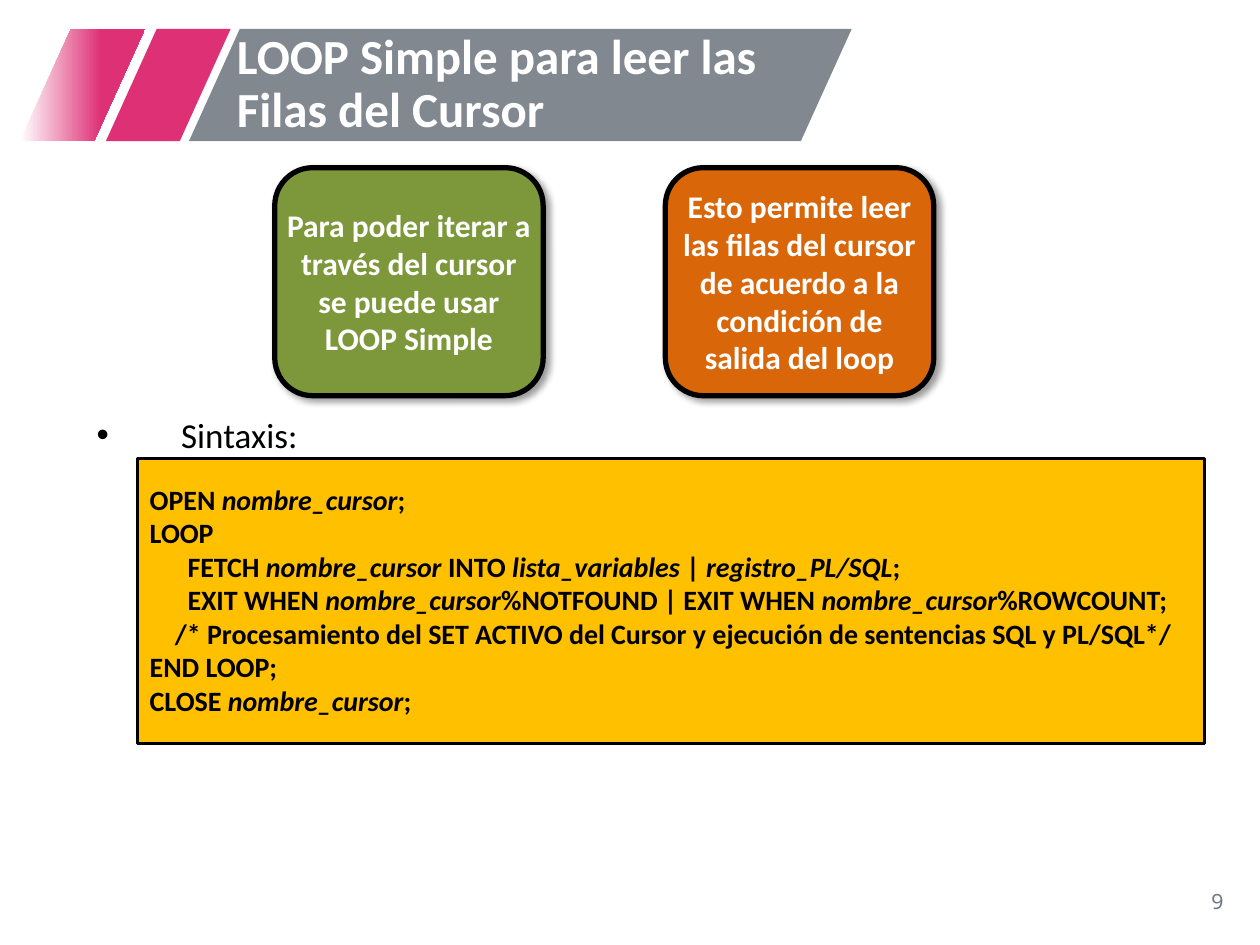
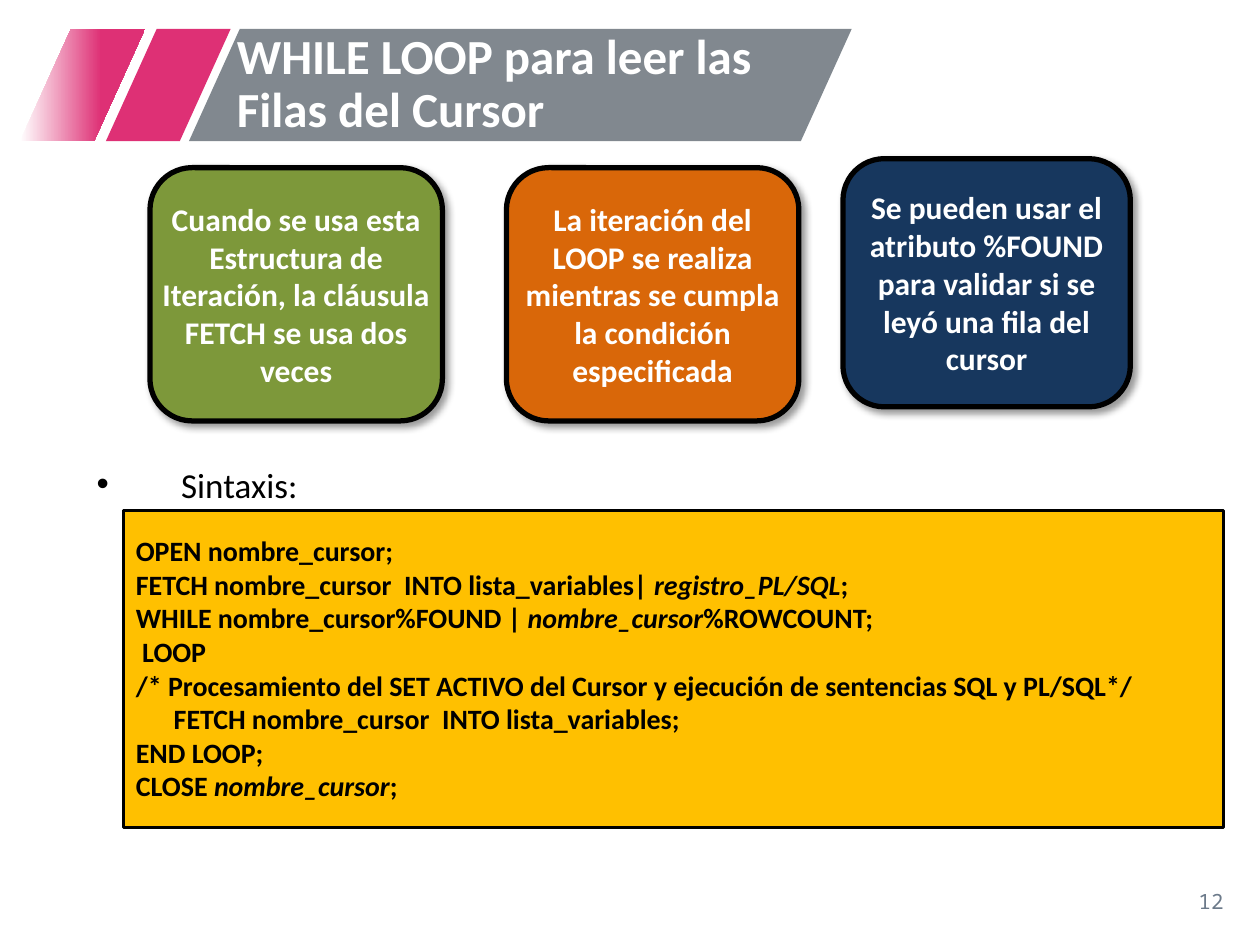
import dataclasses

import lxml.etree
import pptx
import pptx.dml.color
import pptx.enum.shapes
import pptx.enum.text
import pptx.oxml.ns
import pptx.util

Pt = pptx.util.Pt
Shape = pptx.enum.shapes.MSO_SHAPE
Align = pptx.enum.text.PP_ALIGN
Anchor = pptx.enum.text.MSO_ANCHOR
qn = pptx.oxml.ns.qn


@dataclasses.dataclass(frozen=True)
class Theme:
    # Colours
    white: str = "FFFFFF"
    black: str = "000000"
    pink: str = "DE3075"
    band: str = "81888F"
    page: str = "6C7A8A"
    green: str = "7D983A"
    orange: str = "D96709"
    navy: str = "17375E"
    amber: str = "FFC000"
    # Fonts and sizes
    face: str = "Calibri"
    mono: str = "Noto Sans Mono"
    head_size: int = 28
    card_size: int = 18
    bullet_size: int = 20
    code_size: int = 16
    page_size: int = 12


THEME = Theme()
BAND_TOP, BAND_HIGH = 16.56, 64.08


def color(code):
    return pptx.dml.color.RGBColor.from_string(code)


def place(box):
    return [Pt(n) for n in box]


def style(para, size, tint, bold=False, face=THEME.face):
    font = para.font
    font.name, font.size, font.bold = face, Pt(size), bold
    font.color.rgb = color(tint)


def frame_up(shape, anchor=Anchor.MIDDLE, sides=7.2, top=3.6, bottom=3.6):
    frame = shape.text_frame
    frame.word_wrap = True
    frame.vertical_anchor = anchor
    frame.margin_left = frame.margin_right = Pt(sides)
    frame.margin_top, frame.margin_bottom = Pt(top), Pt(bottom)
    return frame


def add_block(slide, kind, box, fill, line=0):
    """Flat shape; a line width of zero means no outline."""
    shape = slide.shapes.add_shape(kind, *place(box))
    shape.shadow.inherit = False
    shape.fill.solid()
    shape.fill.fore_color.rgb = color(fill)
    if line:
        shape.line.width = Pt(line)
        shape.line.color.rgb = color(THEME.black)
    else:
        shape.line.fill.background()
    return shape


def add_band(slide, left, width, fill):
    band = add_block(slide, Shape.PARALLELOGRAM,
                     (left, BAND_TOP, width, BAND_HIGH), fill)
    band.adjustments[0] = 0.453
    return band


def add_header(slide, text):
    add_band(slide, 60.5, 71.3, THEME.pink)
    fade = add_band(slide, 11.5, 71.3, THEME.pink).fill
    fade.gradient()
    fade.gradient_angle = 0
    ramp = ((0, THEME.white), (0.65, THEME.pink))
    for stop, (spot, tint) in zip(fade.gradient_stops, ramp):
        stop.position = spot
        stop.color.rgb = color(tint)
    add_band(slide, 108, 378.7, THEME.band)

    # Title goes in front of the bands
    title = slide.shapes.title
    title.element.getparent().append(title.element)
    title.left, title.top, title.width, title.height = place(
        (128.2, BAND_TOP, 347, BAND_HIGH))
    frame = frame_up(title)
    frame.auto_size = pptx.enum.text.MSO_AUTO_SIZE.NONE
    frame.text = text
    para = frame.paragraphs[0]
    para.alignment = Align.LEFT
    para.line_spacing = 0.9
    style(para, THEME.head_size, THEME.white, bold=True)


def add_page(slide, number):
    label = slide.shapes.add_textbox(*place((544.3, 500.4, 162, 28.8)))
    frame = frame_up(label)
    frame.text = str(number)
    para = frame.paragraphs[0]
    para.alignment = Align.RIGHT
    style(para, THEME.page_size, THEME.page, face=THEME.mono)


def add_shadow(shape):
    effects = shape.element.spPr.find(qn("a:effectLst"))
    outer = lxml.etree.SubElement(
        effects, qn("a:outerShdw"), blurRad=str(Pt(4)), dist=str(Pt(3)),
        dir="2700000", algn="tl", rotWithShape="0")
    tint = lxml.etree.SubElement(outer, qn("a:srgbClr"), val=THEME.black)
    lxml.etree.SubElement(tint, qn("a:alpha"), val="40000")


def add_card(slide, box, fill, text):
    card = add_block(slide, Shape.ROUNDED_RECTANGLE, box, fill, line=3)
    add_shadow(card)
    frame = frame_up(card, sides=0, top=0, bottom=0)
    frame.text = text
    para = frame.paragraphs[0]
    para.alignment = Align.CENTER
    style(para, THEME.card_size, THEME.white, bold=True)


def add_bullet(slide, top, text):
    label = slide.shapes.add_textbox(*place((48.2, top, 617.8, 32.4)))
    frame = frame_up(label, Anchor.TOP)
    frame.text = text
    para = frame.paragraphs[0]
    para.alignment = Align.JUSTIFY
    para.line_spacing = 0.8
    props = para._p.get_or_add_pPr()
    props.set("marL", str(Pt(48.2)))
    props.set("indent", str(-Pt(48.2)))
    lxml.etree.SubElement(props, qn("a:buFont"), typeface="Arial")
    lxml.etree.SubElement(props, qn("a:buChar"), char="•")
    style(para, THEME.bullet_size, THEME.black)


def add_code(slide, box, lines):
    """Code panel; text between ~ marks is italic."""
    panel = add_block(slide, Shape.RECTANGLE, box, THEME.amber, line=1.75)
    frame = frame_up(panel, Anchor.TOP, top=13.4)
    for row, line in enumerate(lines):
        para = frame.add_paragraph() if row else frame.paragraphs[0]
        para.alignment = Align.LEFT
        style(para, THEME.code_size, THEME.black, bold=True)
        for part, text in enumerate(line.split("~")):
            if text:
                run = para.add_run()
                run.text = text
                if part % 2:
                    run.font.italic = True


def add_slide(deck, title, page):
    slide = deck.slides.add_slide(deck.slide_layouts[5])
    add_header(slide, title)
    add_page(slide, page)
    return slide


def main():
    deck = pptx.Presentation()
    deck.slide_width, deck.slide_height = Pt(720), Pt(540)
    note = ("/* Procesamiento del SET ACTIVO del Cursor y ejecución "
            "de sentencias SQL y PL/SQL*/")
    close = ["END LOOP;", "CLOSE ~nombre_cursor~;"]

    # Simple loop
    slide = add_slide(deck, "LOOP Simple para leer las Filas del Cursor", 9)
    cards = (
        (THEME.green, "Para poder iterar a través del cursor se puede usar "
                      "LOOP Simple"),
        (THEME.orange, "Esto permite leer las filas del cursor de acuerdo a "
                       "la condición de salida del loop"),
    )
    for col, (fill, text) in enumerate(cards):
        add_card(slide, (157 + 223.2 * col, 95.8, 153.4, 130.3), fill, text)
    add_bullet(slide, 237.6, "Sintaxis:")
    add_code(slide, (78.5, 262.1, 609.8, 162.7), [
        "OPEN ~nombre_cursor~;",
        "LOOP",
        "      FETCH ~nombre_cursor~ INTO ~lista_variables~ | "
        "~registro_PL/SQL~;",
        "      EXIT WHEN ~nombre_cursor~%NOTFOUND | "
        "EXIT WHEN ~nombre_cursor~%ROWCOUNT;",
        "    " + note,
    ] + close)

    # While loop
    slide = add_slide(deck, "WHILE LOOP para leer las Filas del Cursor", 12)
    cards = (
        (THEME.green, "Cuando se usa esta Estructura de Iteración, la "
                      "cláusula FETCH se usa dos veces"),
        (THEME.orange, "La iteración del LOOP se realiza mientras se cumpla "
                       "la condición especificada"),
    )
    for col, (fill, text) in enumerate(cards):
        add_card(slide, (85.7 + 203.7 * col, 95.8, 167.1, 144.7), fill, text)
    add_card(slide, (481.7, 90.7, 164.2, 141.8), THEME.navy,
             "Se pueden usar el atributo %FOUND para validar si se leyó "
             "una fila del cursor")
    add_bullet(slide, 265.7, "Sintaxis:")
    add_code(slide, (70.6, 291.6, 628.6, 181.4), [
        "OPEN nombre_cursor;",
        "FETCH nombre_cursor  INTO lista_variables| ~registro_PL/SQL~;",
        "WHILE nombre_cursor%FOUND | ~nombre_cursor~%ROWCOUNT;",
        " LOOP",
        note,
        "      FETCH nombre_cursor  INTO lista_variables;",
    ] + close)

    deck.save("out.pptx")


if __name__ == "__main__":
    main()
